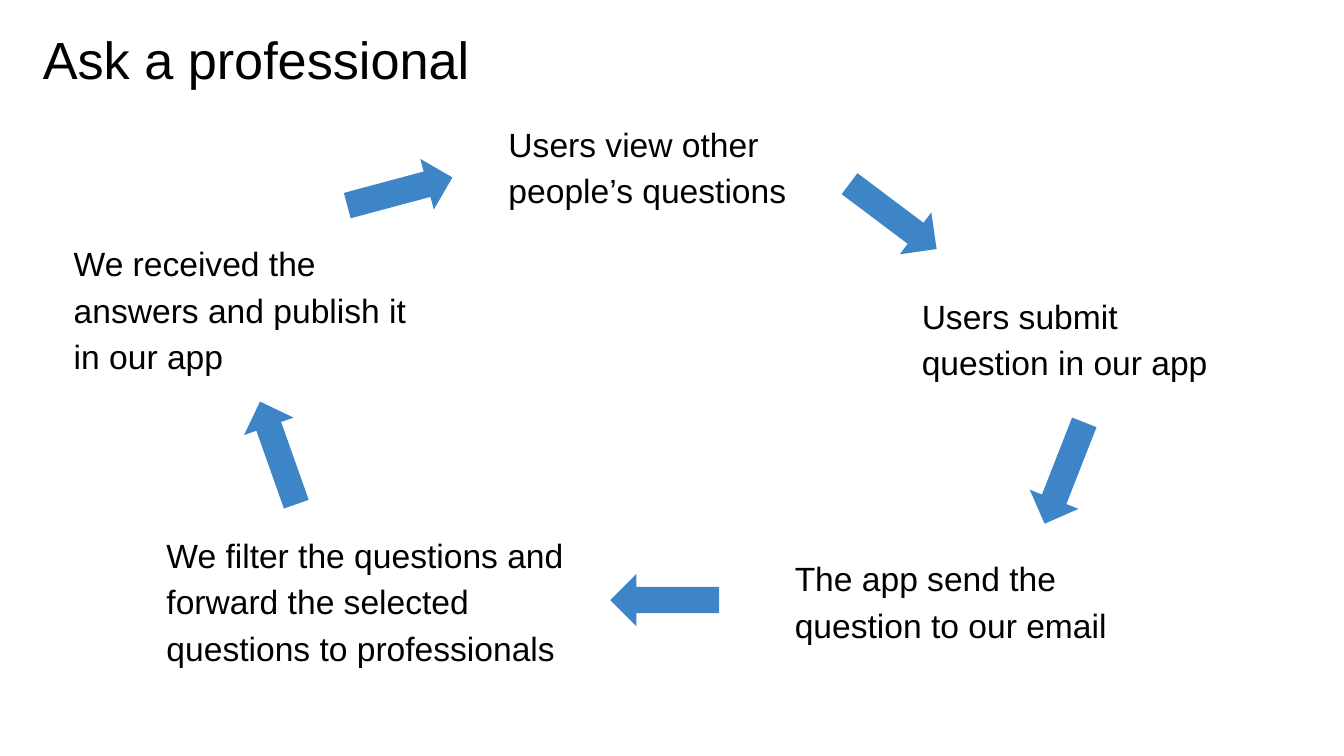
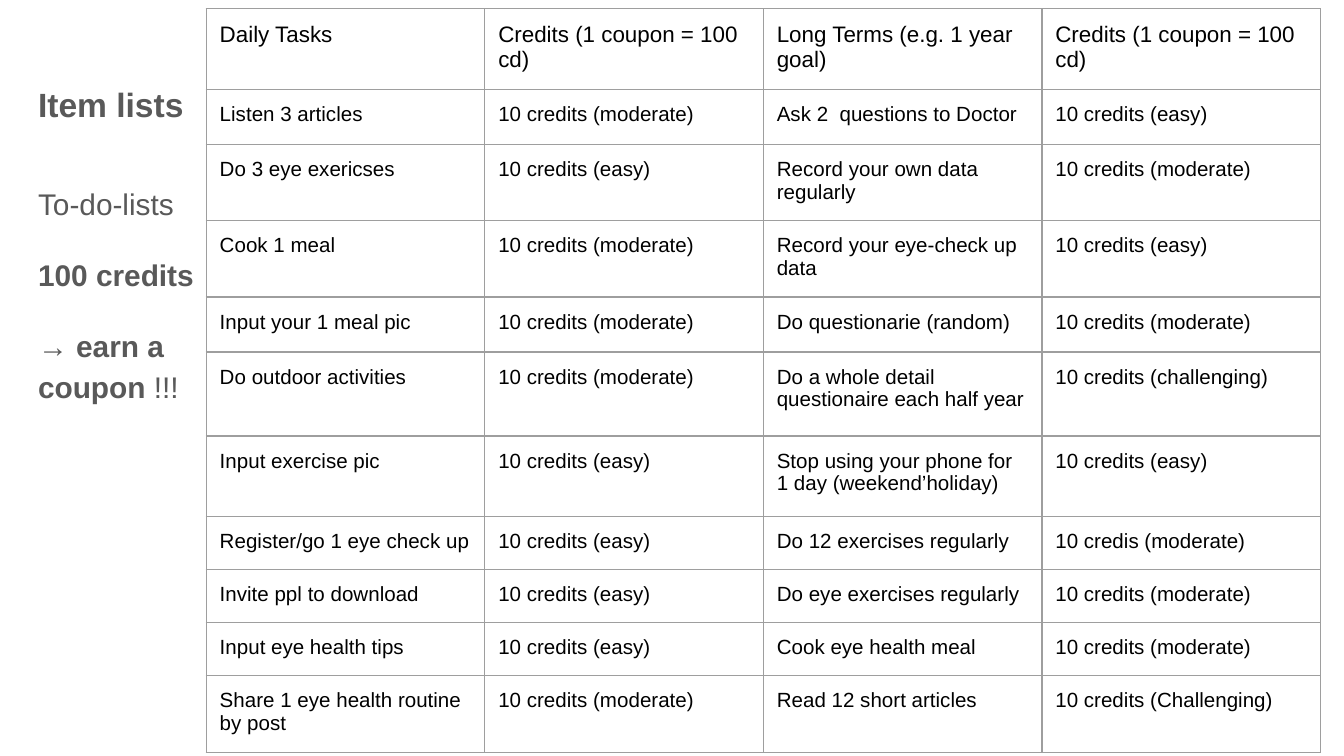
from lxml.etree import SubElement
from pptx import Presentation
from pptx.dml.color import RGBColor
from pptx.enum.shapes import MSO_SHAPE as Shape
from pptx.enum.text import MSO_ANCHOR as Anchor
from pptx.oxml.ns import qn
from pptx.util import Pt

PX = 4572
INSET = 20 * PX
FONT = "Arial"
COLORS = {"ink": "000000", "muted": "595959", "arrow": "3D85C6", "grid": "9E9E9E"}

STEPS = [
    ((737, 155, 504, 178), "Users view other people’s questions"),
    ((1352, 411, 522, 194), "Users submit question in our app"),
    ((1163, 802, 522, 240), "The app send the question to our email"),
    ((228, 767, 704, 310),
     "We filter the questions and forward the selected questions to professionals"),
    ((90, 333, 578, 248), "We received the answers and publish it in our app"),
]
ARROW_SIZE = (162, 78)
ARROWS = [(1248, 283, 36.9), (1503, 665, 111.4), (908, 854, 180),
          (333, 635, 250.5), (514, 246, 345)]

SIDE_NOTES = [
    [("To-do-lists", False)],
    [("100 credits", True)],
    [("→ ", False), ("earn a coupon", True), (" !!!", False)],
]
ROW_HEIGHTS = [117, 82, 111, 111, 82, 125, 120, 79, 79, 79, 111]
TASKS = [
    ("Daily Tasks", "Credits (1 coupon = 100 cd)",
     "Long Terms (e.g. 1 year goal)", "Credits (1 coupon = 100 cd)"),
    ("Listen 3 articles", "10 credits (moderate)",
     "Ask 2  questions to Doctor", "10 credits (easy)"),
    ("Do 3 eye exericses", "10 credits (easy)",
     "Record your own data regularly", "10 credits (moderate)"),
    ("Cook 1 meal", "10 credits (moderate)",
     "Record your eye-check up data", "10 credits (easy)"),
    ("Input your 1 meal pic", "10 credits (moderate)",
     "Do questionarie (random)", "10 credits (moderate)"),
    ("Do outdoor activities", "10 credits (moderate)",
     "Do a whole detail questionaire each half year", "10 credits (challenging)"),
    ("Input exercise pic", "10 credits (easy)",
     "Stop using your phone for 1 day (weekend’holiday)", "10 credits (easy)"),
    ("Register/go 1 eye check up", "10 credits (easy)",
     "Do 12 exercises regularly", "10 credis (moderate)"),
    ("Invite ppl to download", "10 credits (easy)",
     "Do eye exercises regularly", "10 credits (moderate)"),
    ("Input eye health tips", "10 credits (easy)",
     "Cook eye health meal", "10 credits (moderate)"),
    ("Share 1 eye health routine by post", "10 credits (moderate)",
     "Read 12 short articles", "10 credits (Challenging)"),
]


def scaled(box):
    """Turn px lengths into EMU."""
    return [length * PX for length in box]


def add_span(para, text, size, color, bold=False):
    """Append one styled run to a paragraph."""
    span = para.add_run()
    span.text = text
    span.font.name = FONT
    span.font.size = Pt(size)
    span.font.bold = bold
    span.font.color.rgb = RGBColor.from_string(COLORS[color])


def add_text(page, box, paras, size, color="ink", spacing=None, gap=0):
    """Place a wrapping text box with paragraphs of (text, bold) runs."""
    frame = page.shapes.add_textbox(*scaled(box)).text_frame
    frame.word_wrap = True
    frame.vertical_anchor = Anchor.TOP
    frame.margin_left = frame.margin_right = INSET
    frame.margin_top = frame.margin_bottom = INSET
    for index, runs in enumerate(paras):
        para = frame.add_paragraph() if index else frame.paragraphs[0]
        para.line_spacing = spacing
        para.space_before = Pt(gap if index else 0)
        for text, bold in runs:
            add_span(para, text, size, color, bold)


def add_arrow(page, left, top, angle):
    """Place one turned block arrow of the cycle."""
    arrow = page.shapes.add_shape(Shape.RIGHT_ARROW, *scaled((left, top, *ARROW_SIZE)))
    arrow.rotation = angle
    arrow.shadow.inherit = False
    arrow.fill.solid()
    arrow.fill.fore_color.rgb = RGBColor.from_string(COLORS["arrow"])
    arrow.line.fill.background()


def style_cell(cell):
    """Clear the cell fill, set its margins and draw its four borders."""
    cell.margin_left = cell.margin_right = INSET
    cell.margin_top = cell.margin_bottom = INSET
    props = cell._tc.get_or_add_tcPr()
    for side in ("a:lnL", "a:lnR", "a:lnT", "a:lnB"):
        line = SubElement(props, qn(side), w=str(Pt(0.75)))
        fill = SubElement(line, qn("a:solidFill"))
        SubElement(fill, qn("a:srgbClr"), val=COLORS["grid"])
    cell.fill.background()


def add_task_table(page, box):
    """Fill the box with the task table in equal columns."""
    table = page.shapes.add_table(len(TASKS), len(TASKS[0]), *scaled(box)).table
    table.first_row = table.horz_banding = False
    for column in table.columns:
        column.width = box[2] * PX // len(TASKS[0])
    for index, (height, texts) in enumerate(zip(ROW_HEIGHTS, TASKS)):
        table.rows[index].height = height * PX
        for cell, text in zip(table.rows[index].cells, texts):
            style_cell(cell)
            add_span(cell.text_frame.paragraphs[0], text, 11 if index else 12, "ink")


def build_cycle(page):
    """Draw the question cycle slide."""
    add_text(page, (44, 20, 1864, 126), [[("Ask a professional", False)]], 28)
    for box, text in STEPS:
        add_text(page, box, [[(text, False)]], 18, spacing=1.15)
    for arrow in ARROWS:
        add_arrow(page, *arrow)


def build_tasks(page):
    """Draw the task list slide."""
    add_text(page, (37, 96, 260, 126), [[("Item lists", True)]], 18, "muted", 1.15)
    add_text(page, (37, 248, 298, 126), SIDE_NOTES, 16, "muted", 1.15, 16)
    add_task_table(page, (307, 13, 1658, sum(ROW_HEIGHTS)))


def main():
    """Build the deck and save it."""
    deck = Presentation()
    deck.slide_width, deck.slide_height = scaled((2000, 1125))
    for build in (build_cycle, build_tasks):
        build(deck.slides.add_slide(deck.slide_layouts[6]))
    deck.save("out.pptx")


if __name__ == "__main__":
    main()
